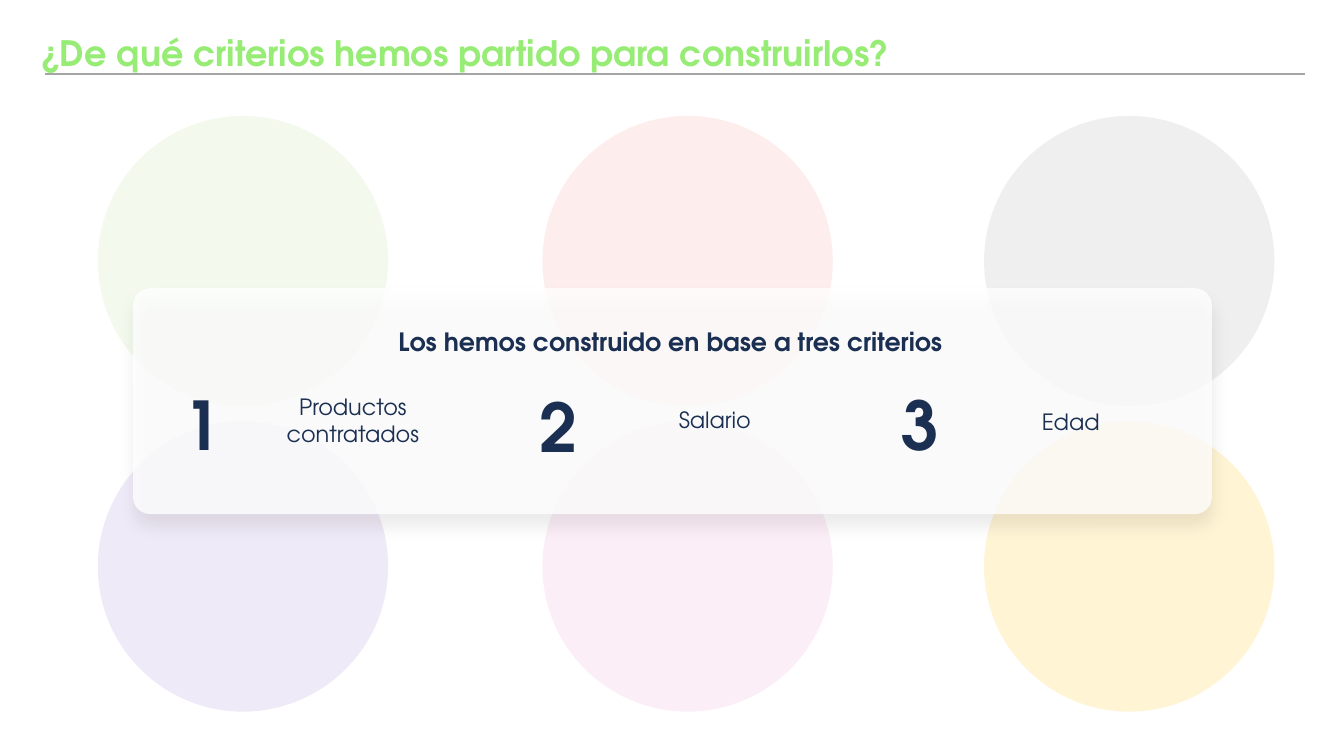
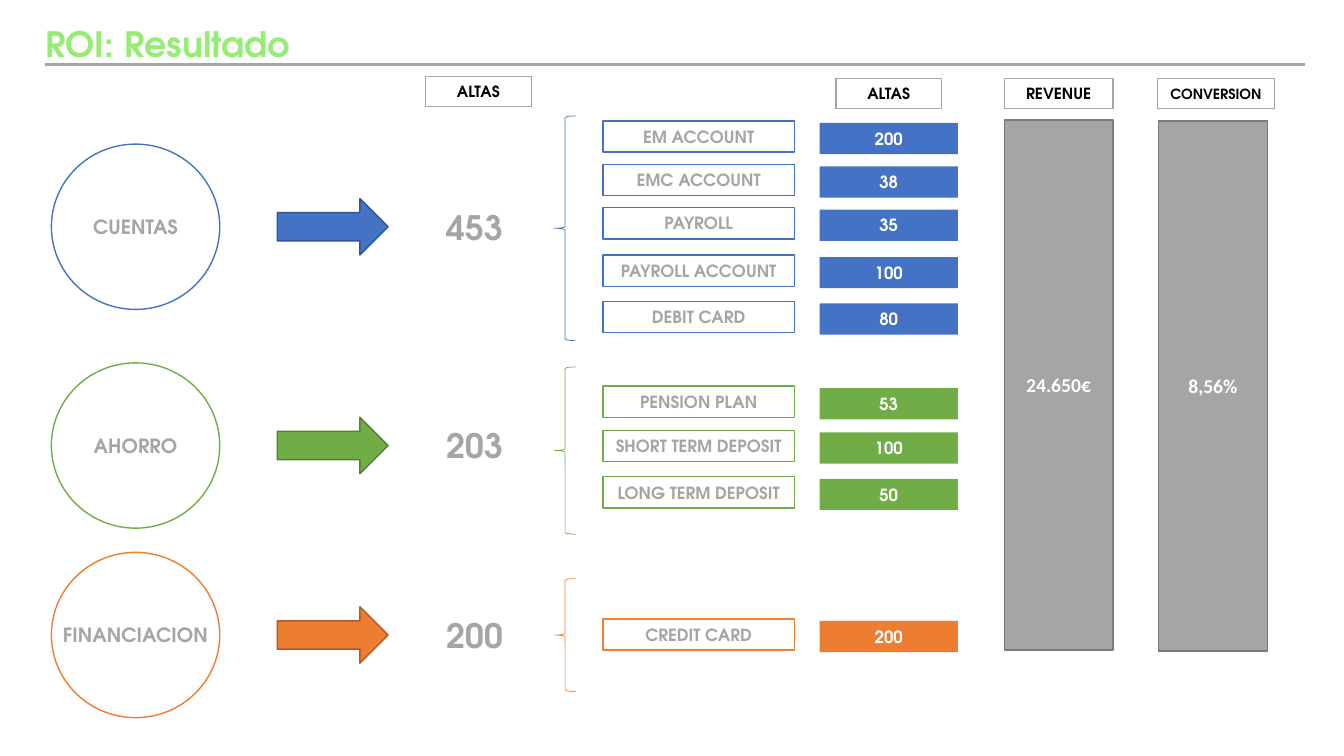
from itertools import product
from lxml import etree
from pptx import Presentation
from pptx.dml.color import RGBColor as RGB
from pptx.enum.shapes import MSO_CONNECTOR as LINK, MSO_SHAPE as KIND
from pptx.enum.text import MSO_ANCHOR as ANCHOR, PP_ALIGN as ALIGN
from pptx.oxml.ns import qn
from pptx.util import Inches, Pt

FONT = "TeX Gyre Adventor"
COLORS = {
    "title": "96EC74", "gray": "A5A5A5", "edge": "7A7A7A",
    "navy": "1A2F51", "white": "FFFFFF", "black": "000000",
    "blue": "4472C4", "blue_edge": "325491",
    "green": "70AD47", "green_edge": "538035",
    "orange": "ED7D31", "orange_edge": "AF5C24",
    "lime": "92D050", "rose": "F5AEA9", "silver": "A6A6A6",
    "violet": "A484D1", "pink": "F3AADA", "gold": "FFC000",
}

# Rows of circles: colour and opacity in percent
DISCS = [("lime", 10), ("rose", 20), ("silver", 17),
         ("violet", 17), ("pink", 20), ("gold", 17)]
DISC_X, DISC_Y = (0.97, 5.38, 9.76), (1.15, 4.18)

# Number, its place, label, its place
CRITERIA = [("1", 1.72, 3.75, "Productos contratados", 2.38, 3.85, 0.64),
            ("2", 5.25, 3.77, "Salario", 5.97, 3.98, 0.37),
            ("3", 8.84, 3.75, "Edad", 9.5, 4, 0.37)]

# Name, colour, middle, total, brace top and height, rows (top, product, count)
GROUPS = [
    ("CUENTAS", "blue", 2.25, "453", 1.15, 2.23, [
        (1.2, "EM ACCOUNT", "200"), (1.63, "EMC ACCOUNT", "38"),
        (2.06, "PAYROLL", "35"), (2.53, "PAYROLL ACCOUNT", "100"),
        (2.99, "DEBIT CARD", "80")]),
    ("AHORRO", "green", 4.42, "203", 3.64, 1.66, [
        (3.83, "PENSION PLAN", "53"), (4.27, "SHORT TERM DEPOSIT", "100"),
        (4.73, "LONG TERM DEPOSIT", "50")]),
    ("FINANCIACION", "orange", 6.3, "200", 5.74, 1.12, [
        (6.14, "CREDIT CARD", "200")]),
]

HEADS = [("ALTAS", 4.22, 0.76, 1.05, 11), ("ALTAS", 8.29, 0.78, 1.05, 11),
         ("REVENUE", 9.96, 0.78, 1.08, 11),
         ("CONVERSION", 11.48, 0.78, 1.16, 10)]
BARS = [("24.650€", 9.96, 1.19), ("8,56%", 11.49, 1.2)]


def rgb(name):
    return RGB.from_string(COLORS[name])


def write(shape, text, size=12, color="gray", bold=True, font=FONT,
          align=ALIGN.CENTER, anchor=ANCHOR.MIDDLE, wrap=False, inset=None):
    frame = shape.text_frame
    frame.word_wrap = wrap
    frame.vertical_anchor = anchor
    if inset is not None:
        frame.margin_left = frame.margin_right = Inches(inset)
        frame.margin_top = frame.margin_bottom = Inches(inset)
    para = frame.paragraphs[0]
    para.alignment = align
    run = para.add_run()
    run.text = text
    run.font.name = font
    run.font.size = Pt(size)
    run.font.bold = bold
    run.font.color.rgb = rgb(color)


def label(slide, text, at, **style):
    box = slide.shapes.add_textbox(*map(Inches, at))
    write(box, text, **style)


def fade(node, percent):
    """Set the opacity of a colour element."""
    alpha = etree.SubElement(node, qn("a:alpha"))
    alpha.set("val", str(percent * 1000))


def draw(slide, kind, at, fill=None, line=None, weight=1, alpha=None):
    shape = slide.shapes.add_shape(kind, *map(Inches, at))
    shape.shadow.inherit = False
    if fill:
        shape.fill.solid()
        shape.fill.fore_color.rgb = rgb(fill)
        if alpha:
            fade(shape.fill._xPr.find(".//" + qn("a:srgbClr")), alpha)
    else:
        shape.fill.background()
    if line:
        shape.line.color.rgb = rgb(line)
        shape.line.width = Pt(weight)
    else:
        shape.line.fill.background()
    return shape


def shade(shape, color, alpha, blur, dist, angle):
    """Cast a soft outer shadow."""
    effects = shape._element.spPr.find(qn("a:effectLst"))
    outer = etree.SubElement(
        effects, qn("a:outerShdw"), blurRad=str(Pt(blur)), dist=str(Pt(dist)),
        dir=str(angle * 60000), algn="t", rotWithShape="0")
    tint = etree.SubElement(outer, qn("a:srgbClr"), val=COLORS[color])
    fade(tint, alpha)


def start(deck, title, left, base):
    """Add a blank slide with its title above a thin rule."""
    slide = deck.slides.add_slide(deck.slide_layouts[6])
    rule = slide.shapes.add_connector(
        LINK.STRAIGHT, *map(Inches, (12.94, base, 0.45, base)))
    rule.line.color.rgb = rgb("gray")
    rule.line.width = Pt(1.5)
    etree.SubElement(rule._element.spPr, qn("a:effectLst"))
    label(slide, title, (left, base - 0.42, 11.25, 0.42), size=25,
          color="title", align=ALIGN.LEFT, wrap=True, inset=0)
    return slide


def basis(deck):
    slide = start(deck, "¿De qué criterios hemos partido para construirlos?",
                  0.4, 0.73)
    for (y, x), (color, alpha) in zip(product(DISC_Y, DISC_X), DISCS):
        draw(slide, KIND.OVAL, (x, y, 2.88, 2.88), color, alpha=alpha)
    card = draw(slide, KIND.ROUNDED_RECTANGLE, (1.32, 2.86, 10.7, 2.24),
                "white", alpha=78)
    card.adjustments[0] = 0.075
    shade(card, "black", alpha=10, blur=12, dist=8, angle=90)
    navy = {"color": "navy", "anchor": ANCHOR.TOP}
    label(slide, "Los hemos construido en base a tres criterios",
          (3.8, 3.19, 5.7, 0.4), size=18, wrap=True, **navy)
    for digit, left, top, name, x, y, high in CRITERIA:
        label(slide, digit, (left, top, 0.58, 0.91), size=48,
              align=ALIGN.LEFT, **navy)
        label(slide, name, (x, y, 2.24, high), size=16, bold=False,
              wrap=True, **navy)


def group(slide, name, color, mid, total, top, high, rows):
    disc = draw(slide, KIND.OVAL, (0.51, mid - 0.82, 1.67, 1.64),
                "white", color)
    write(disc, name, size=14)
    draw(slide, KIND.RIGHT_ARROW, (2.75, mid - 0.28, 1.1, 0.56),
         color, color + "_edge")
    label(slide, total, (3.58, mid - 0.2, 2.26, 0.4), size=24, inset=0)
    draw(slide, KIND.LEFT_BRACE, (5.5, top, 0.21, high),
         line=color, weight=0.5)
    for y, item, count in rows:
        box = draw(slide, KIND.RECTANGLE, (5.98, y, 1.9, 0.31),
                   "white", color)
        write(box, item)
        box = draw(slide, KIND.RECTANGLE, (8.13, y + 0.02, 1.37, 0.31), color)
        write(box, count, color="white")


def result(deck):
    slide = start(deck, "ROI: Resultado", 0.45, 0.64)
    for entry in GROUPS:
        group(slide, *entry)
    for text, x, y in BARS:
        bar = draw(slide, KIND.RECTANGLE, (x, y, 1.08, 5.26), "gray", "edge")
        write(bar, text, size=14, color="white", font="Calibri")
    for text, x, y, wide, size in HEADS:
        head = draw(slide, KIND.RECTANGLE, (x, y, wide, 0.3), "white", "gray")
        write(head, text, size=size, color="black")


def main():
    deck = Presentation()
    deck.slide_width, deck.slide_height = Inches(13.33), Inches(7.5)
    basis(deck)
    result(deck)
    deck.save("out.pptx")


if __name__ == "__main__":
    main()
